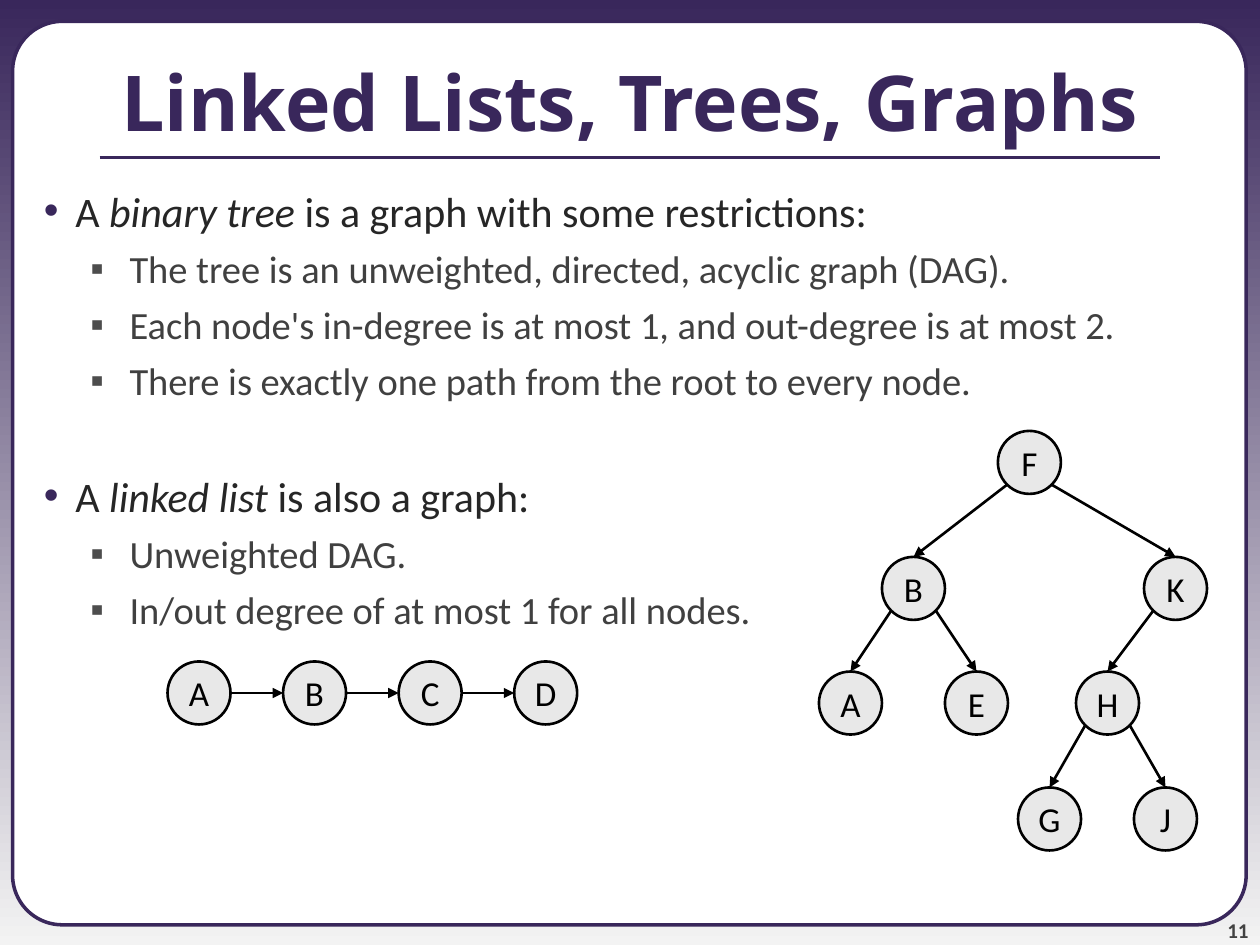
import math

import lxml.etree
import pptx
import pptx.dml.color
import pptx.enum.shapes
import pptx.enum.text
import pptx.oxml.ns
import pptx.util

Inches = pptx.util.Inches
Pt = pptx.util.Pt
Align = pptx.enum.text.PP_ALIGN
Anchor = pptx.enum.text.MSO_ANCHOR
Shape = pptx.enum.shapes.MSO_SHAPE
qn = pptx.oxml.ns.qn

COLORS = {
    "purple": "39275B", "mist": "F3F3F3", "white": "FFFFFF", "black": "000000",
    "node": "E8E8E8", "heading": "262626", "detail": "404040",
    "square": "4D4D4D", "number": "424242",
}
NODE_SIZE = 0.5
LEVELS = {
    0: dict(size=24, color="heading", before=6, left=0.5, hang=0.25,
            bullet="•", bullet_color="purple"),
    1: dict(size=22, color="detail", before=5.5, left=0.93, hang=0.31,
            bullet="▪", bullet_color="square"),
}
BODY = [
    (0, "A *binary tree* is a graph with some restrictions:", {}),
    (1, "The tree is an unweighted, directed, acyclic graph (DAG).", {}),
    (1, "Each node's in-degree is at most 1, and out-degree is at most 2.", {}),
    (1, "There is exactly one path from the root to every node.", {}),
    (0, "A *linked list* is also a graph:", {"before": 38.4}),
    (1, "Unweighted DAG.", {}),
    (1, "In/out degree of at most 1 for all nodes.", {}),
]
TREE_NODES = {
    "F": (1.42, 0), "B": (0.5, 1), "K": (2.58, 1), "A": (0, 1.91),
    "E": (1, 1.91), "H": (2.04, 1.91), "G": (1.58, 2.83), "J": (2.5, 2.83),
}
TREE_EDGES = ["FB", "FK", "BA", "BE", "KH", "HG", "HJ"]


def rgb(name):
    """Return the named colour."""
    return pptx.dml.color.RGBColor.from_string(COLORS[name])


def write(paragraph, text, size=20, color="black", font="Calibri", bold=False,
          align=Align.LEFT, before=0, left=0, hang=0, bullet=None, bullet_color=None):
    """Fill a paragraph with text, setting spans between asterisks in italics."""
    paragraph.alignment = align
    paragraph.space_before = Pt(before)
    for index, span in enumerate(text.split("*")):
        run = paragraph.add_run()
        run.text = span
        run.font.name = font
        run.font.size = Pt(size)
        run.font.bold = bold
        run.font.italic = index % 2 == 1
        run.font.color.rgb = rgb(color)
    if bullet:
        properties = paragraph._p.get_or_add_pPr()
        properties.set("marL", str(Inches(left)))
        properties.set("indent", str(-Inches(hang)))
        bullet_fill = lxml.etree.SubElement(properties, qn("a:buClr"))
        lxml.etree.SubElement(bullet_fill, qn("a:srgbClr"), val=COLORS[bullet_color])
        lxml.etree.SubElement(properties, qn("a:buFont"), typeface="Arial")
        lxml.etree.SubElement(properties, qn("a:buChar"), char=bullet)


def add_frame(slide, left, top, width, height, anchor=Anchor.TOP):
    """Add a wrapping text box and return its text frame."""
    box = slide.shapes.add_textbox(Inches(left), Inches(top), Inches(width), Inches(height))
    box.text_frame.word_wrap = True
    box.text_frame.vertical_anchor = anchor
    return box.text_frame


def add_outlined(slide, kind, left, top, width, height, fill, line, weight):
    """Add a filled and outlined shape without a shadow."""
    shape = slide.shapes.add_shape(
        kind, Inches(left), Inches(top), Inches(width), Inches(height))
    shape.shadow.inherit = False
    shape.fill.solid()
    shape.fill.fore_color.rgb = rgb(fill)
    shape.line.color.rgb = rgb(line)
    shape.line.width = Pt(weight)
    return shape


def add_line(slide, start, end, color="black", weight=1.5, arrow=True):
    """Add a straight line, with an arrowhead at its end if wanted."""
    line = slide.shapes.add_connector(
        pptx.enum.shapes.MSO_CONNECTOR.STRAIGHT,
        *(Inches(value) for value in (*start, *end)))
    line.line.color.rgb = rgb(color)
    line.line.width = Pt(weight)
    if arrow:
        lxml.etree.SubElement(line.line._get_or_add_ln(), qn("a:tailEnd"), type="triangle")
    lxml.etree.SubElement(line._element.spPr, qn("a:effectLst"))
    return line


def add_node(slide, letter, left, top):
    """Add a round node with its letter."""
    node = add_outlined(slide, Shape.OVAL, left, top, NODE_SIZE, NODE_SIZE,
                        "node", "black", 1.5)
    node.text_frame.word_wrap = False
    node.text_frame.vertical_anchor = Anchor.MIDDLE
    write(node.text_frame.paragraphs[0], letter, align=Align.CENTER)
    return node


def add_backdrop(slide, left, top, width, height):
    """Draw the gradient background and the rounded panel."""
    fill = slide.background.fill
    fill.gradient()
    fill.gradient_angle = 270
    for stop, color in zip(fill.gradient_stops, ("purple", "mist")):
        stop.color.rgb = rgb(color)
    panel = add_outlined(slide, Shape.ROUNDED_RECTANGLE, left, top, width, height,
                         "white", "purple", 2)
    panel.adjustments[0] = 0.055


def add_title(slide, left, top, width, height):
    """Write the title above its rule."""
    rule_y = top + 1.08
    add_line(slide, (left + 0.79, rule_y), (left + width - 0.79, rule_y),
             "purple", 2.25, arrow=False)
    frame = add_frame(slide, left, top, width, height, Anchor.MIDDLE)
    write(frame.paragraphs[0], "Linked Lists, Trees, Graphs", size=44, color="purple",
          font="Open Sans", bold=True, align=Align.CENTER)


def add_body(slide, left, top, width, height):
    """Write the bulleted text."""
    frame = add_frame(slide, left, top, width, height)
    for index, (level, text, changes) in enumerate(BODY):
        paragraph = frame.add_paragraph() if index else frame.paragraphs[0]
        paragraph.level = level
        write(paragraph, text, **{**LEVELS[level], **changes})


def add_page_number(slide, left, top, width, height):
    """Write the page number in the bottom corner."""
    frame = add_frame(slide, left, top, width, height, Anchor.BOTTOM)
    frame.margin_left = frame.margin_right = frame.margin_top = frame.margin_bottom = 0
    write(frame.paragraphs[0], "11", size=12, color="number", bold=True,
          align=Align.RIGHT, before=5)


def add_tree(slide, left, top):
    """Draw the binary tree, each edge running from a parent's lower flank to a child's top."""
    nodes = {letter: add_node(slide, letter, left + x, top + y)
             for letter, (x, y) in TREE_NODES.items()}
    radius = NODE_SIZE / 2
    flank = radius * math.sqrt(0.5)
    for parent, child in TREE_EDGES:
        parent_x, parent_y = TREE_NODES[parent]
        child_x, child_y = TREE_NODES[child]
        side = math.copysign(flank, child_x - parent_x)
        edge = add_line(
            slide,
            (left + parent_x + radius + side, top + parent_y + radius + flank),
            (left + child_x + radius, top + child_y))
        edge.end_connect(nodes[child], 0)


def add_linked_list(slide, left, top, letters="ABCD", pitch=0.917):
    """Draw the linked list as a row of evenly spaced nodes."""
    middle = top + NODE_SIZE / 2
    for index, letter in enumerate(letters):
        x = left + index * pitch
        add_node(slide, letter, x, top)
        if index:
            add_line(slide, (x - pitch + NODE_SIZE, middle), (x, middle))


def main():
    """Build and save the slide."""
    deck = pptx.Presentation()
    deck.slide_width, deck.slide_height = Inches(10), Inches(7.5)
    slide = deck.slides.add_slide(deck.slide_layouts[6])
    add_backdrop(slide, 0.1, 0.17, 9.79, 7.17)
    add_page_number(slide, 9.08, 7.08, 0.83, 0.4)
    add_title(slide, 0, 0.17, 10, 1.25)
    add_body(slide, 0, 1.42, 10, 6.08)
    add_tree(slide, 6.5, 3.42)
    add_linked_list(slide, 1.33, 5.25)
    deck.save("out.pptx")


if __name__ == "__main__":
    main()
